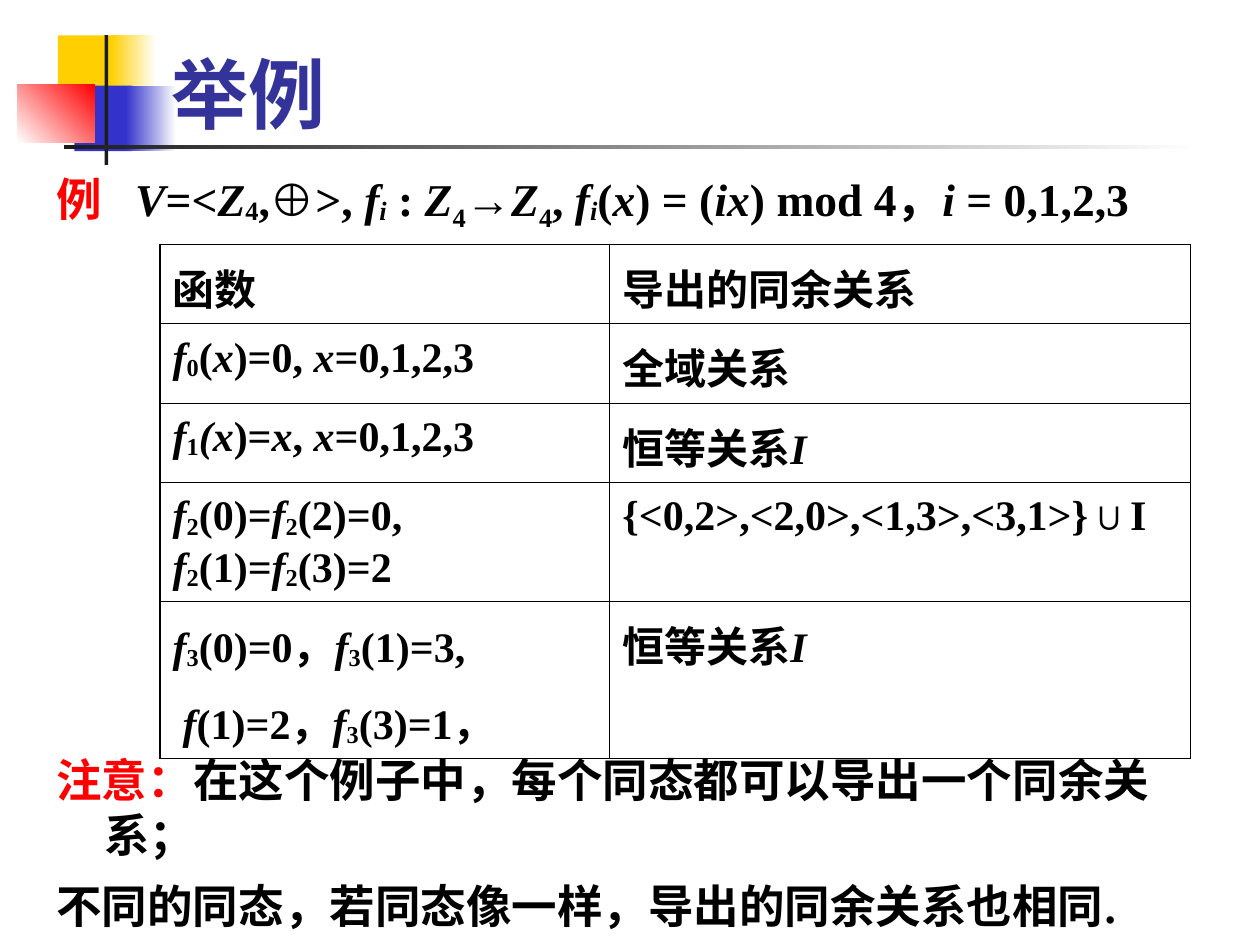
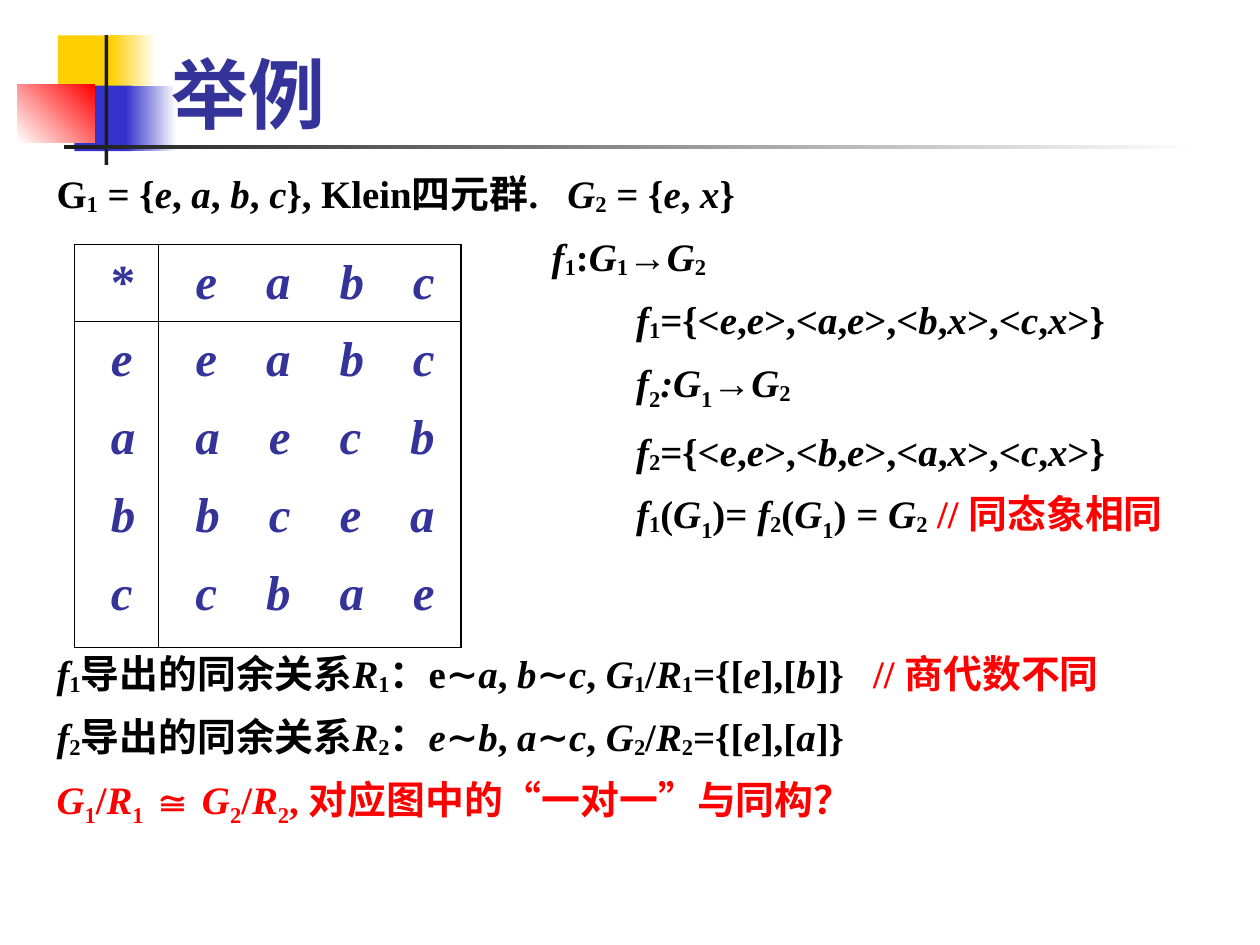
from dataclasses import dataclass
from itertools import groupby
from typing import NamedTuple

from lxml.etree import SubElement as Sub
from pptx import Presentation
from pptx.dml.color import RGBColor as Rgb
from pptx.enum.shapes import MSO_SHAPE as Kind
from pptx.enum.text import MSO_ANCHOR as Anchor
from pptx.oxml.ns import qn
from pptx.util import Inches, Pt


@dataclass(frozen=True)
class Theme:
    black: str = "000000"
    white: str = "FFFFFF"
    red: str = "FF0000"
    gold: str = "FFCF01"
    blue: str = "3333CC"
    navy: str = "333399"
    dark: str = "1C1C1C"
    serif: str = "Times New Roman"
    sans: str = "Roboto"
    head: float = 44
    body: float = 26
    small: float = 22.2
    cell: float = 24
    grid: float = 28
    thick: float = 1.08
    thin: float = 0.45


T = Theme()


class Box(NamedTuple):
    x: float
    y: float
    w: float
    h: float


class Block(NamedTuple):
    box: Box
    start: str
    end: str = ""
    turn: float = 0


@dataclass(frozen=True)
class Style:
    size: float
    color: str = T.black
    font: str = T.serif
    line: float | Pt = 1.0
    before: float = 0
    gap: float = 0  # points added to a wide space


@dataclass(frozen=True)
class Para:
    """Marks: ` italic on/off, | red on/off, _ low next sign, ^ lower next sign,
    ~ wide space."""
    text: str
    left: float = 0
    hang: float = 0
    before: float | None = None


@dataclass(frozen=True)
class Grid:
    x: float
    y: float
    cols: tuple[float, ...]
    rows: tuple[float, ...]
    style: Style


class Piece(NamedTuple):
    words: str
    slant: bool
    red: bool
    base: int
    wide: bool


# Motif shared by both slides, from back to front
MOTIF = [
    Block(Box(0.46, 0.28, 0.48, 0.52), T.gold),
    Block(Box(0.88, 0.28, 0.36, 0.52), T.gold, T.white),
    Block(Box(0.59, 0.68, 0.46, 0.52), T.blue),
    Block(Box(1, 0.68, 0.4, 0.52), T.blue, T.white),
    Block(Box(0.14, 0.67, 0.61, 0.46), T.white, T.red, 45),
    Block(Box(0.83, 0.28, 0.03, 1.03), T.dark),
    Block(Box(0.51, 1.15, 9, 0.03), T.dark, T.white),
]
TITLE = Box(1.26, 0.08, 8.52, 1.07)
HEAD = Style(T.head, T.navy, T.sans)
LOW = {"_": -10, "^": -25}


def split(text: str) -> list[Piece]:
    """Turn marked text into pieces of one format each."""
    signs, slant, red, base = [], False, False, 0
    for sign in text:
        if sign == "`":
            slant = not slant
        elif sign == "|":
            red = not red
        elif sign in LOW:
            base = LOW[sign]
        else:
            wide = sign == "~"
            signs.append((" " if wide else sign, slant, red, base, wide))
            base = 0
    return [Piece("".join(s[0] for s in part), *key)
            for key, part in groupby(signs, key=lambda s: s[1:])]


def write(frame, paras: list[Para], style: Style) -> None:
    for i, para in enumerate(paras):
        item = frame.add_paragraph() if i else frame.paragraphs[0]
        before = style.before if para.before is None else para.before
        item.line_spacing = style.line
        item.space_before = Pt(before if i else 0)
        prop = item._p.get_or_add_pPr()
        prop.set("marL", str(Inches(para.left + para.hang)))
        prop.set("indent", str(-Inches(para.hang)))
        for piece in split(para.text):
            run = item.add_run()
            run.text = piece.words
            form = {"size": Pt(style.size), "name": style.font,
                    "bold": True, "italic": piece.slant}
            for key, value in form.items():
                setattr(run.font, key, value)
            run.font.color.rgb = Rgb.from_string(T.red if piece.red else style.color)
            if piece.base:
                run._r.get_or_add_rPr().set("baseline", str(piece.base * 1000))
            if piece.wide:
                run._r.get_or_add_rPr().set("spc", str(round(style.gap * 100)))


def put_text(slide, box: Box, paras: list[Para], style: Style,
             anchor: Anchor = Anchor.TOP) -> None:
    frame = slide.shapes.add_textbox(*map(Inches, box)).text_frame
    for key, value in {"word_wrap": True, "vertical_anchor": anchor}.items():
        setattr(frame, key, value)
    write(frame, paras, style)


def put_block(slide, block: Block) -> None:
    shape = slide.shapes.add_shape(Kind.RECTANGLE, *map(Inches, block.box))
    shape.shadow.inherit = False
    shape.line.fill.background()
    if block.end:
        shape.fill.gradient()
        shape.fill.gradient_angle = block.turn
        for stop, color in zip(shape.fill.gradient_stops, (block.start, block.end)):
            stop.color.rgb = Rgb.from_string(color)
    else:
        shape.fill.solid()
        shape.fill.fore_color.rgb = Rgb.from_string(block.start)


def edge(cell, outer: dict[str, bool]) -> None:
    """Draw the four cell borders, thicker on the rim of the table."""
    prop = cell._tc.get_or_add_tcPr()
    for i, (side, rim) in enumerate(outer.items()):
        line = prop.makeelement(qn(f"a:ln{side}"),
                                {"w": str(Pt(T.thick if rim else T.thin))})
        fill = Sub(line, qn("a:solidFill"))
        Sub(fill, qn("a:srgbClr"), val=T.black)
        prop.insert(i, line)


def put_grid(slide, grid: Grid, cells: list[list[list[Para]]]) -> None:
    rows, cols = len(grid.rows), len(grid.cols)
    area = Box(grid.x, grid.y, sum(grid.cols), sum(grid.rows))
    table = slide.shapes.add_table(rows, cols, *map(Inches, area)).table
    table.first_row = table.horz_banding = False
    for col, width in zip(table.columns, grid.cols):
        col.width = Inches(width)
    for row, height in zip(table.rows, grid.rows):
        row.height = Inches(height)
    for r, line in enumerate(cells):
        for c, paras in enumerate(line):
            cell = table.cell(r, c)
            cell.margin_bottom = Inches(0)
            cell.fill.background()
            edge(cell, {"L": c == 0, "R": c == cols - 1,
                        "T": r == 0, "B": r == rows - 1})
            write(cell.text_frame, paras, grid.style)


def new_slide(deck, title: str):
    slide = deck.slides.add_slide(deck.slide_layouts[6])
    for block in MOTIF:
        put_block(slide, block)
    put_text(slide, TITLE, [Para(title)], HEAD, Anchor.BOTTOM)
    return slide


def maps_slide(deck) -> None:
    slide = new_slide(deck, "举例")
    # Formula above the table
    formula = Para("|例~|`V`=<`Z`_4,⊕>, `f_i` : `Z`^4→`Z`^4, `f_i`(`x`) = "
                   "(`ix`) mod 4，`i` = 0,1,2,3")
    put_text(slide, Box(0.35, 1.3, 9.29, 0.6), [formula],
             Style(T.body, line=Pt(36), gap=13))
    # Functions and the relations they induce
    pairs = [
        ("函数", "导出的同余关系"),
        ("`f`_0(`x`)=0, `x`=0,1,2,3", "全域关系"),
        ("`f`_1`(x`)=`x`, `x`=0,1,2,3", "恒等关系`I`"),
        ("`f`_2(0)=`f`_2(2)=0, `f`_2(1)=`f`_2(3)=2",
         "{<0,2>,<2,0>,<1,3>,<3,1>}∪I"),
        ("`f`_3(0)=0，`f`_3(1)=3,", "恒等关系`I`"),
    ]
    cells = [[[Para(text)] for text in pair] for pair in pairs]
    cells[-1][0].append(Para("`f`(1)=2，`f`_3(3)=1，", left=0.08))
    grid = Grid(1.27, 1.94, (3.57, 4.61), (0.63, 0.63, 0.63, 0.92, 1.25),
                Style(T.cell, line=1.1, before=6))
    put_grid(slide, grid, cells)
    # Remarks below the table
    notes = ["|注意：|在这个例子中，每个同态都可以导出一个同余关系；",
             "不同的同态，若同态像一样，导出的同余关系也相同."]
    put_text(slide, Box(0.35, 5.92, 9.1, 1.5),
             [Para(text, hang=0.38) for text in notes],
             Style(T.body, line=Pt(31.4), before=9.2))


def klein_slide(deck) -> None:
    slide = new_slide(deck, "举例")
    # Homomorphisms, then the quotients they give
    near, far, deep = 3.93, 4.6, 12
    paras = [
        Para("G_1 = {`e`, `a`, `b`, `c`}, Klein四元群.~`G`_2 = {`e`, `x`}"),
        Para("`f`_1:`G`_1→`G`_2", near),
        Para("`f`_1={<`e`,`e`>,<`a`,`e`>,<`b`,`x`>,<`c`,`x`>}", far),
        Para("`f`^2`:G`^1→`G`_2", far, before=deep),
        Para("`f`_2={<`e`,`e`>,<`b`,`e`>,<`a`,`x`>,<`c`,`x`>}", far),
        Para("`f`_1(`G`^1)= `f`_2(`G`^1) = `G`_2 |// 同态象相同|", far, before=deep),
        Para("`f`_1导出的同余关系`R`_1：e∼`a`, `b`∼`c`, "
             "`G`_1/`R`_1={[`e`],[`b`]}~|// 商代数不同|", before=61),
        Para("`f`_2导出的同余关系`R`_2：`e`∼`b`, `a`∼`c`, "
             "`G`_2/`R`_2={[`e`],[`a`]}"),
        Para("|`G`^1/`R`^1 ≅ `G`^2/`R`^2, 对应图中的“一对一”与同构？|", before=deep),
    ]
    put_text(slide, Box(0.35, 1.3, 9.29, 5.98), paras,
             Style(T.small, line=Pt(27), before=9, gap=11.1))

    # Group table
    def letters(text: str) -> Para:
        return Para(f"`{'~'.join(text)}`", left=0.19)

    cells = [
        [[Para("*", left=0.19)], [letters("eabc")]],
        [[letters(sign) for sign in "eabc"],
         [letters(row) for row in ("eabc", "aecb", "bcea", "cbae")]],
    ]
    grid = Grid(0.59, 1.94, (0.67, 2.4), (0.61, 2.59),
                Style(T.grid, T.navy, line=1.1, before=10.5, gap=21))
    put_grid(slide, grid, cells)


def main() -> None:
    deck = Presentation()
    deck.slide_width, deck.slide_height = Inches(10), Inches(7.5)
    maps_slide(deck)
    klein_slide(deck)
    deck.save("out.pptx")


if __name__ == "__main__":
    main()
